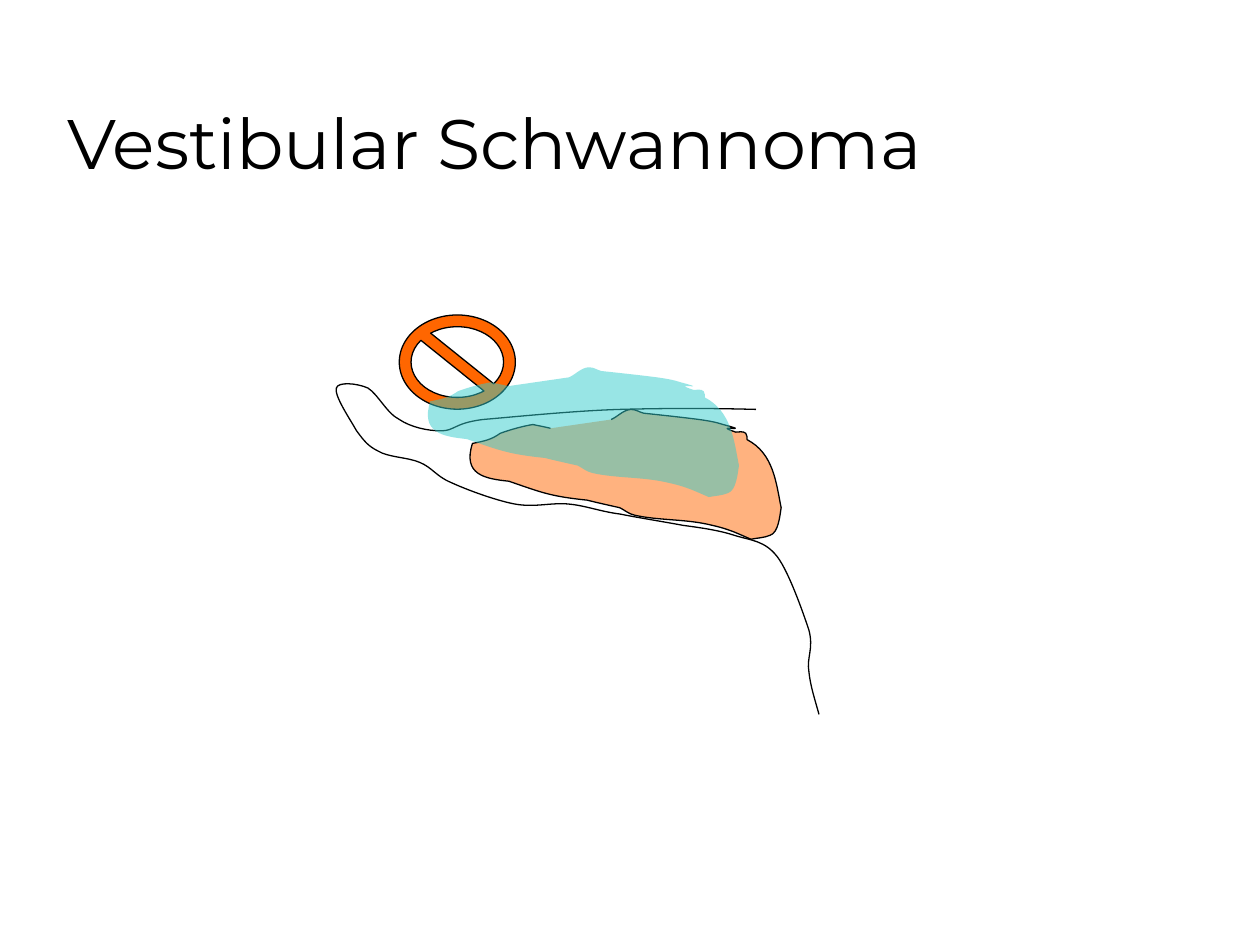
from lxml.etree import SubElement
from pptx import Presentation
from pptx.dml.color import RGBColor
from pptx.enum.shapes import MSO_SHAPE
from pptx.enum.text import MSO_ANCHOR
from pptx.oxml.ns import qn
from pptx.util import Cm, Pt

COLORS = {"ink": "000000", "orange": "FF6600", "teal": "33CCCC"}
GRID = Cm(2.54) / 100  # outline coordinates are hundredths of an inch

# A start point, then three points for each Bezier curve
HAND = [
    (600, 325),
    (564, 324), (528, 324), (492, 325), (456, 326), (407, 331), (383, 333),
    (360, 336), (361, 342), (350, 342), (339, 342), (326, 339), (317, 333),
    (307, 328), (300, 313), (292, 308), (283, 304), (268, 303), (267, 308),
    (265, 314), (278, 333), (283, 342), (289, 350), (292, 354), (300, 358),
    (308, 363), (324, 363), (333, 367), (343, 371), (346, 378), (358, 383),
    (371, 389), (393, 397), (408, 400), (424, 403), (436, 399), (450, 400),
    (464, 401), (476, 406), (492, 408), (507, 411), (526, 414), (542, 417),
    (557, 419), (571, 421), (583, 425), (596, 429), (607, 429), (617, 442),
    (626, 454), (637, 485), (642, 500), (646, 515), (640, 522), (642, 533),
    (643, 544), (647, 556), (650, 567),
]
TUMOR = [
    (437, 340),
    (433, 339), (428, 338), (423, 337), (416, 338), (405, 341), (397, 344),
    (390, 349), (385, 350), (375, 352), (367, 377), (385, 380), (404, 382),
    (430, 391), (437, 394), (466, 397), (474, 399), (483, 401), (492, 403),
    (496, 405), (499, 408), (504, 409), (522, 413), (542, 412), (561, 416),
    (570, 418), (574, 419), (582, 422), (587, 424), (596, 428), (596, 428),
    (601, 427), (606, 427), (611, 425), (618, 423), (619, 409), (620, 403),
    (616, 383), (614, 360), (593, 349), (593, 348), (593, 345), (592, 344),
    (590, 342), (586, 343), (584, 343), (563, 336), (600, 344), (574, 337),
    (568, 335), (562, 334), (555, 333), (540, 331), (511, 328), (511, 328),
    (507, 327), (505, 325), (501, 325), (495, 325), (490, 331), (485, 333),
]


def add_curve(points, offset):
    """Add an open freeform whose points are joined as cubic Bezier curves."""
    builder = slide.shapes.build_freeform(*points[0], scale=GRID)
    builder.add_line_segments(points[1:], close=False)
    shape = builder.convert_to_shape(offset, offset)
    outline = shape._element.find(".//" + qn("a:path"))
    segments = outline.findall(qn("a:lnTo"))
    for first in range(0, len(segments), 3):
        curve = SubElement(outline, qn("a:cubicBezTo"))
        for segment in segments[first:first + 3]:
            curve.append(segment[0])
            outline.remove(segment)
    return shape


def paint(shape, fill, line, opacity=100):
    shape.shadow.inherit = False
    if fill:
        shape.fill.solid()
        shape.fill.fore_color.rgb = RGBColor.from_string(COLORS[fill])
        if opacity < 100:
            color = shape._element.spPr.find(".//" + qn("a:srgbClr"))
            SubElement(color, qn("a:alpha"), val=str(opacity * 1000))
    else:
        shape.fill.background()
    if line:
        shape.line.color.rgb = RGBColor.from_string(COLORS[line])
        shape.line.width = Pt(0.75)
    else:
        shape.line.fill.background()


presentation = Presentation()
presentation.slide_width = Cm(25.4)
presentation.slide_height = Cm(19.05)
slide = presentation.slides.add_slide(presentation.slide_layouts[6])

title = slide.shapes.add_textbox(Cm(1.12), Cm(0.64), Cm(21.59), Cm(3.18))
title.text_frame.word_wrap = True
title.text_frame.vertical_anchor = MSO_ANCHOR.BOTTOM
paragraph = title.text_frame.paragraphs[0]
run = paragraph.add_run()
run.text = "Vestibular Schwannoma"
for name, value in {"name": "Montserrat", "size": Pt(40)}.items():
    setattr(run.font, name, value)
run.font.color.rgb = RGBColor.from_string(COLORS["ink"])

paint(add_curve(HAND, 0), None, "ink")

no_sign = slide.shapes.add_shape(
    MSO_SHAPE.NO_SYMBOL, Cm(8.05), Cm(6.35), Cm(2.34), Cm(1.9))
no_sign.adjustments[0] = 0.125
paint(no_sign, "orange", "ink")

# The same outline twice, the second one shifted up and to the left
for offset, fill, line in [(0, "orange", "ink"), (Cm(-0.85), "teal", None)]:
    paint(add_curve(TUMOR, offset), fill, line, opacity=50)

presentation.save("out.pptx")
